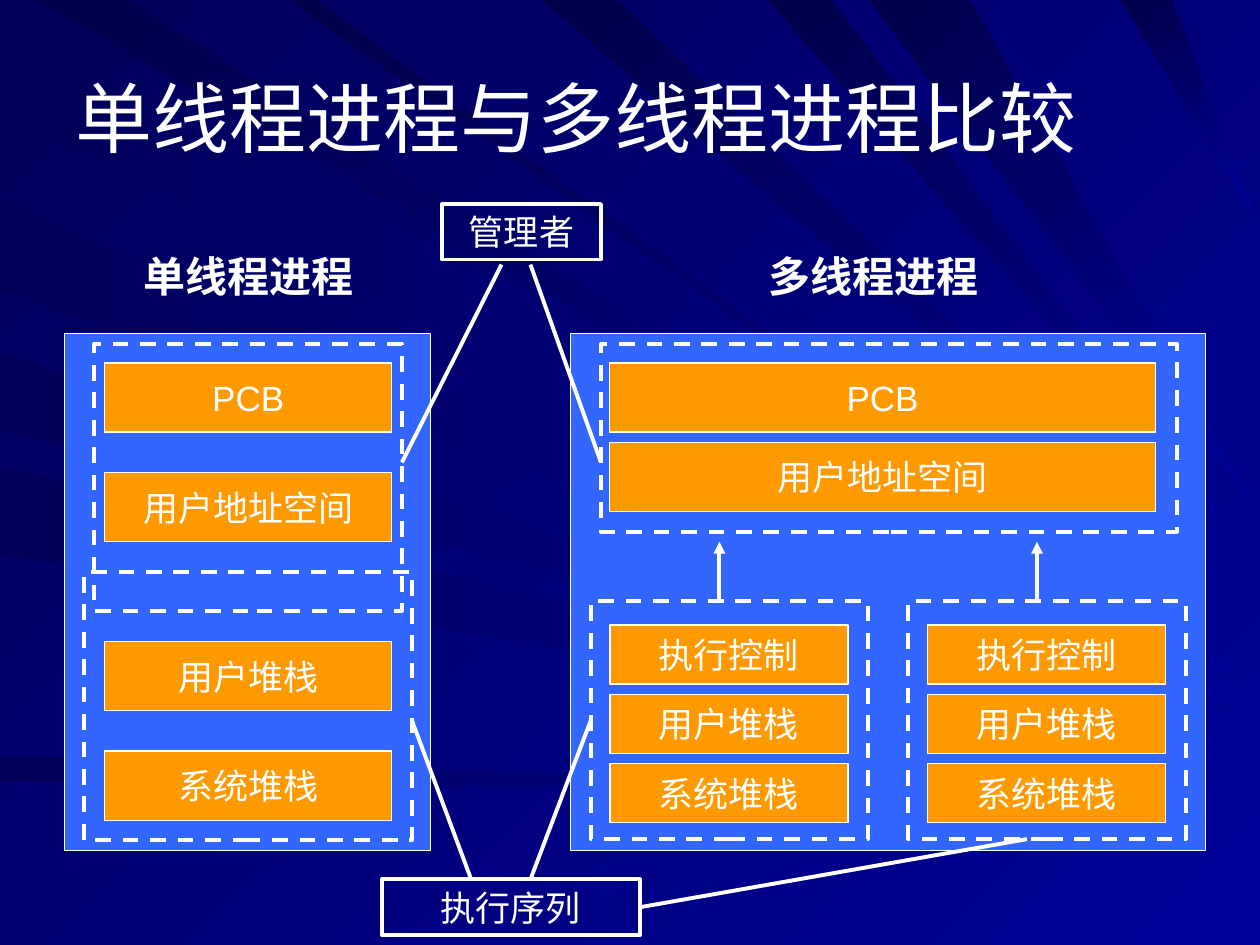
from lxml import etree
from pptx import Presentation
from pptx.dml.color import RGBColor
from pptx.enum.dml import MSO_LINE
from pptx.enum.shapes import MSO_CONNECTOR, MSO_SHAPE
from pptx.enum.text import MSO_ANCHOR, MSO_AUTO_SIZE, PP_ALIGN
from pptx.oxml.ns import qn
from pptx.util import Inches, Pt

WHITE = RGBColor(0xFF, 0xFF, 0xFF)
PANEL_BLUE = RGBColor(0x33, 0x66, 0xFF)
ORANGE = RGBColor(0xFF, 0x99, 0x00)
BRIGHT = RGBColor(0x00, 0x00, 0x99)
DARK = RGBColor(0x00, 0x00, 0x58)
DEEP = RGBColor(0x00, 0x00, 0x4A)
FONT = "Arial"
STACK_LABELS = ["用户堆栈", "系统堆栈"]
SHARED_LABELS = ["PCB", "用户地址空间"]

LEFT_RAYS = [(0, 0.9, 5.7), (1.6, 2.3, 5.8), (2.8, 3.4, 6), (3.7, 4.4, 6.1), (6, 6.2, 6.3)]
TOP_RAYS = [(0.3, 1, 5.6), (2.3, 2.5, 5.5), (4.3, 4.9, 4.9), (6.1, 6.6, 4.5), (6.9, 7.7, 4.1), (8.9, 9.3, 1.8)]


def set_gradient(fill, start, end, angle):
    fill.gradient()
    fill.gradient_angle = angle
    for stop, color in zip(fill.gradient_stops, (start, end)):
        stop.color.rgb = color


def add_ray(s, points, end, angle):
    corners = [(Inches(x), Inches(y)) for x, y in points]
    builder = s.shapes.build_freeform(*corners[0])
    builder.add_line_segments(corners[1:])
    sp = builder.convert_to_shape()
    sp.shadow.inherit = False
    sp.line.fill.background()
    set_gradient(sp.fill, BRIGHT, end, angle)


def add_background(s):
    set_gradient(s.background.fill, BRIGHT, DARK, 135)
    for start, end, tip in LEFT_RAYS:
        add_ray(s, [(0, start), (0, end), (10, tip)], DARK, 180)
    for start, end, tip in TOP_RAYS:
        add_ray(s, [(start, 0), (end, 0), (10, tip)], DEEP, 135)


def set_text(sp, text, size, bold=False, align=PP_ALIGN.CENTER, wrap=True):
    tf = sp.text_frame
    tf.text = text
    tf.word_wrap = wrap
    tf.auto_size = MSO_AUTO_SIZE.NONE
    tf.vertical_anchor = MSO_ANCHOR.MIDDLE
    p = tf.paragraphs[0]
    p.alignment = align
    font = p.runs[0].font
    font.name, font.size, font.bold = FONT, Pt(size), bold
    font.color.rgb = WHITE


def add_title(s, text):
    title = s.shapes.title
    title.left, title.top = Inches(0.5), Inches(0.3)
    title.width, title.height = Inches(9), Inches(1.25)
    set_text(title, text, 44, align=PP_ALIGN.LEFT)
    s.shapes._spTree.append(title._element)


def add_box(s, x, y, w, h, fill=None, weight=2.25, dashed=False):
    sp = s.shapes.add_shape(MSO_SHAPE.RECTANGLE, Inches(x), Inches(y), Inches(w), Inches(h))
    sp.shadow.inherit = False
    if fill is None:
        sp.fill.background()
    else:
        sp.fill.solid()
        sp.fill.fore_color.rgb = fill
    sp.line.color.rgb = WHITE
    sp.line.width = Pt(weight)
    if dashed:
        sp.line.dash_style = MSO_LINE.DASH
    return sp


def add_stack(s, labels, x, y, w, h, pitch):
    for i, label in enumerate(labels):
        sp = add_box(s, x, y + i * pitch, w, h, ORANGE, 0.75)
        set_text(sp, label, 20, wrap=False)


def add_role(s, text, x, y, w):
    sp = add_box(s, x, y, w, 0.44)
    set_text(sp, text, 20)
    return sp


def add_process(s, heading, heading_x, x, w):
    sp = s.shapes.add_textbox(Inches(heading_x), Inches(1.94), Inches(2.28), Inches(0.5))
    set_text(sp, heading, 24, bold=True)
    add_box(s, x, 2.65, w, 4.1, PANEL_BLUE, 0.75)


def add_line(s, x1, y1, x2, y2, arrow=False):
    line = s.shapes.add_connector(
        MSO_CONNECTOR.STRAIGHT, Inches(x1), Inches(y1), Inches(x2), Inches(y2))
    line.line.color.rgb = WHITE
    line.line.width = Pt(2.25)
    if arrow:
        etree.SubElement(line.line._get_or_add_ln(), qn("a:tailEnd"), type="triangle")
    etree.SubElement(line._element.spPr, qn("a:effectLst"))
    return line


def add_single_thread_process(s):
    add_process(s, "单线程进程", 0.83, 0.51, 2.91)
    add_stack(s, SHARED_LABELS, 0.83, 2.88, 2.28, 0.55, 0.87)
    add_stack(s, STACK_LABELS, 0.83, 5.09, 2.28, 0.55, 0.87)
    add_box(s, 0.67, 4.54, 2.6, 2.13, dashed=True)
    add_box(s, 0.75, 2.73, 2.44, 2.12, dashed=True)


def add_thread(s, x):
    sp = add_box(s, x, 4.77, 2.2, 1.89, dashed=True)
    add_stack(s, ["执行控制", *STACK_LABELS], x + 0.15, 4.96, 1.89, 0.47, 0.55)
    add_line(s, x + 1.02, 4.77, x + 1.02, 4.3, arrow=True)
    return sp


def add_multi_thread_process(s):
    add_process(s, "多线程进程", 5.79, 4.53, 5.04)
    add_stack(s, SHARED_LABELS, 4.84, 2.88, 4.33, 0.55, 0.63)
    add_box(s, 4.77, 2.73, 4.57, 1.49, dashed=True)
    return [add_thread(s, x) for x in (4.69, 7.21)]


def main():
    prs = Presentation()
    prs.slide_width, prs.slide_height = Inches(10), Inches(7.5)
    s = prs.slides.add_slide(prs.slide_layouts[5])
    add_background(s)
    add_title(s, "单线程进程与多线程进程比较")
    add_single_thread_process(s)
    threads = add_multi_thread_process(s)

    add_role(s, "管理者", 3.51, 1.62, 1.26)
    add_line(s, 3.98, 2.1, 3.19, 3.67)
    add_line(s, 4.21, 2.1, 4.77, 3.67)

    sequence = add_role(s, "执行序列", 3.03, 6.98, 2.05)
    add_line(s, 3.27, 5.72, 3.74, 6.98)
    add_line(s, 4.69, 5.72, 4.21, 6.98).begin_connect(threads[0], 1)
    add_line(s, 8.15, 6.66, 5.08, 7.2).end_connect(sequence, 3)
    prs.save("out.pptx")


if __name__ == "__main__":
    main()
